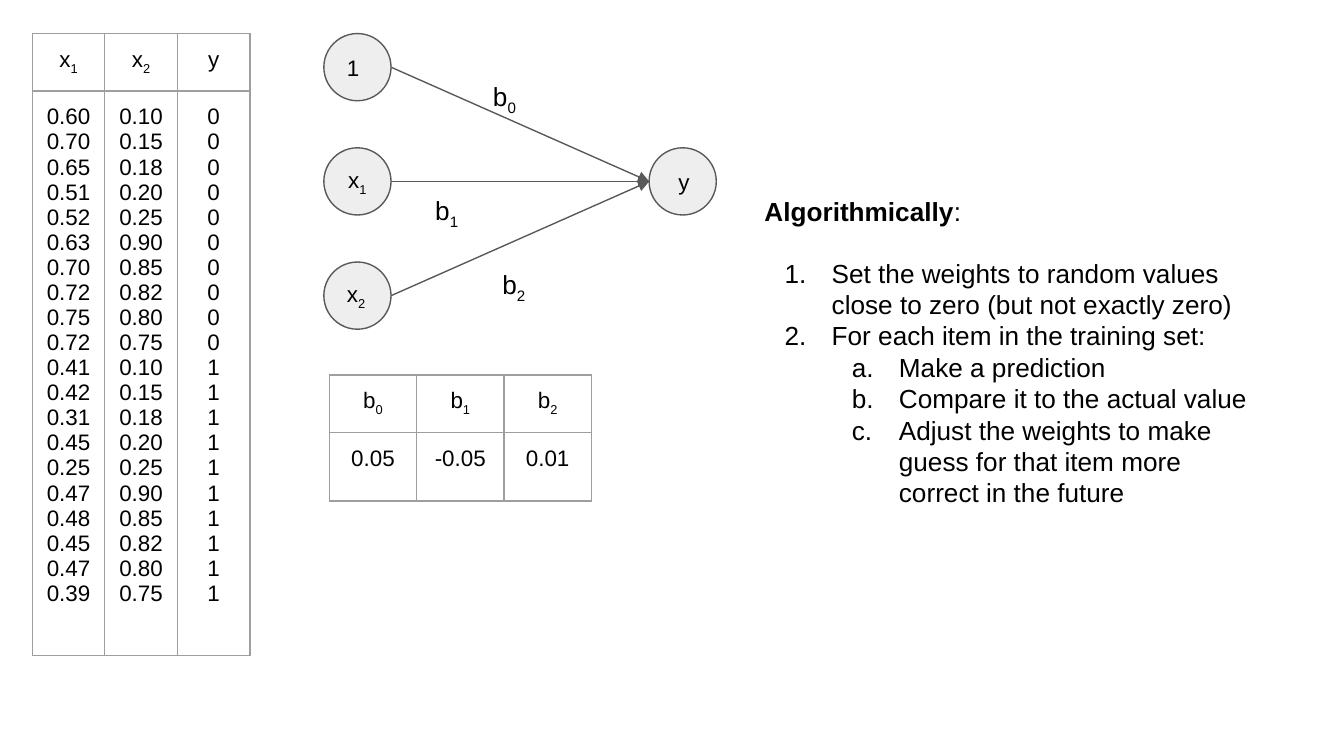
from pptx import Presentation
from pptx.dml.color import RGBColor
from pptx.enum.shapes import MSO_CONNECTOR, MSO_SHAPE
from pptx.enum.text import MSO_ANCHOR, PP_ALIGN
from pptx.oxml import parse_xml
from pptx.oxml.ns import nsdecls
from pptx.util import Inches, Pt

COLORS = {"text": "000000", "node": "EEEEEE", "line": "595959", "border": "9E9E9E"}
NS = nsdecls("a")


def write_text(paragraph, text, size):
    """Write text into the paragraph; what follows an underscore is a subscript."""
    paragraph.text = ""
    for index, part in enumerate(text.split("_")):
        run = paragraph.add_run()
        run.text = part
        run.font.name = "Arial"
        run.font.size = Pt(size)
        run.font.color.rgb = RGBColor.from_string(COLORS["text"])
        if index:
            run._r.get_or_add_rPr().set("baseline", "-25000")


def set_frame(text_frame):
    """Wrap the text and give it equal margins."""
    text_frame.word_wrap = True
    text_frame.margin_left = text_frame.margin_right = Inches(0.1)
    text_frame.margin_top = text_frame.margin_bottom = Inches(0.1)


presentation = Presentation()
presentation.slide_width = Inches(10)
presentation.slide_height = Inches(10 * 9 / 16)
slide = presentation.slides.add_slide(presentation.slide_layouts[6])
shapes = slide.shapes

# Network nodes
NODE_SIZE = 0.5
INPUT_X, OUTPUT_X = 2.41, 4.83
INPUT_TOPS = [0.25, 1.1, 1.95]
OUTPUT_TOP = INPUT_TOPS[1]
nodes = [
    ("x_1", INPUT_X, INPUT_TOPS[1], PP_ALIGN.CENTER),
    ("x_2", INPUT_X, INPUT_TOPS[2], PP_ALIGN.LEFT),
    ("1", INPUT_X, INPUT_TOPS[0], PP_ALIGN.LEFT),
    (" y", OUTPUT_X, OUTPUT_TOP, PP_ALIGN.LEFT),
]
for label, left, top, alignment in nodes:
    node = shapes.add_shape(MSO_SHAPE.OVAL, Inches(left), Inches(top),
                            Inches(NODE_SIZE), Inches(NODE_SIZE))
    node.shadow.inherit = False
    node.fill.solid()
    node.fill.fore_color.rgb = RGBColor.from_string(COLORS["node"])
    node.line.color.rgb = RGBColor.from_string(COLORS["line"])
    node.line.width = Pt(0.75)
    set_frame(node.text_frame)
    node.text_frame.vertical_anchor = MSO_ANCHOR.MIDDLE
    paragraph = node.text_frame.paragraphs[0]
    paragraph.alignment = alignment
    write_text(paragraph, label, 12)

# Arrows from each input to the output
for top in INPUT_TOPS:
    arrow = shapes.add_connector(
        MSO_CONNECTOR.STRAIGHT,
        Inches(INPUT_X + NODE_SIZE), Inches(top + NODE_SIZE / 2),
        Inches(OUTPUT_X), Inches(OUTPUT_TOP + NODE_SIZE / 2))
    arrow.line.color.rgb = RGBColor.from_string(COLORS["line"])
    arrow.line.width = Pt(0.75)
    arrow.line._get_or_add_ln().append(parse_xml(f'<a:tailEnd {NS} type="triangle"/>'))
    arrow._element.spPr.append(parse_xml(f"<a:effectLst {NS}/>"))

# Weight labels
for label, left, top in [("b_0", 3.57, 0.5), ("b_1", 3.14, 1.35), ("b_2", 3.64, 1.9)]:
    weight = shapes.add_textbox(Inches(left), Inches(top), Inches(0.6), Inches(0.3))
    set_frame(weight.text_frame)
    write_text(weight.text_frame.paragraphs[0], label, 14)

# Algorithm steps
algorithm = shapes.add_textbox(Inches(5.59), Inches(1.35), Inches(3.94), Inches(2.58))
set_frame(algorithm.text_frame)
heading = algorithm.text_frame.paragraphs[0]
write_text(heading, "Algorithmically", 14)
heading.runs[0].font.bold = True
colon = heading.add_run()
colon.text = ":"
colon.font.name = "Arial"
colon.font.size = Pt(14)
colon.font.color.rgb = RGBColor.from_string(COLORS["text"])
heading.space_after = Pt(16.5)

steps = [
    (0, "Set the weights to random values close to zero (but not exactly zero)"),
    (0, "For each item in the training set:"),
    (1, "Make a prediction"),
    (1, "Compare it to the actual value"),
    (1, "Adjust the weights to make guess for that item more correct in the future"),
]
for level, text in steps:
    paragraph = algorithm.text_frame.add_paragraph()
    paragraph.level = level
    write_text(paragraph, text, 14)
    properties = paragraph._p.get_or_add_pPr()
    properties.set("marL", str(Inches(0.5 * (level + 1))))
    properties.set("indent", str(Inches(-0.35)))
    numbering = ["arabicPeriod", "alphaLcPeriod"][level]
    properties.append(parse_xml(
        f'<a:buClr {NS}><a:srgbClr val="{COLORS["text"]}"/></a:buClr>'))
    properties.append(parse_xml(f'<a:buAutoNum {NS} type="{numbering}"/>'))

# Training data and weights tables
FRAME_SIZE = Inches(3.28)
x1_values = ["0.60", "0.70", "0.65", "0.51", "0.52", "0.63", "0.70", "0.72", "0.75", "0.72",
             "0.41", "0.42", "0.31", "0.45", "0.25", "0.47", "0.48", "0.45", "0.47", "0.39"]
x2_values = ["0.10", "0.15", "0.18", "0.20", "0.25",
             "0.90", "0.85", "0.82", "0.80", "0.75"] * 2
y_values = ["0"] * 10 + ["1"] * 10
tables = [
    (0.24, 0.25, 0.54, [0.37, 1.22],
     {"x_1": x1_values, "x_2": x2_values, "y": y_values}),
    (2.45, 2.79, 0.65, [0.34, 0.51],
     {"b_0": ["0.05"], "b_1": ["-0.05"], "b_2": ["0.01"]}),
]
for left, top, column_width, row_heights, columns in tables:
    frame = shapes.add_table(2, len(columns), Inches(left), Inches(top),
                             FRAME_SIZE, FRAME_SIZE)
    table = frame.table
    table.first_row = False
    table.horz_banding = False
    for row, height in zip(table.rows, row_heights):
        row.height = Inches(height)
    for column, (header, values) in enumerate(columns.items()):
        table.columns[column].width = Inches(column_width)
        for row, lines in enumerate([[header], values]):
            cell = table.cell(row, column)
            cell.margin_left = cell.margin_right = Inches(0.1)
            cell.margin_top = cell.margin_bottom = Inches(0.1)
            cell.fill.background()
            cell.text_frame.text = "\n".join(lines)
            for paragraph, line in zip(cell.text_frame.paragraphs, lines):
                paragraph.alignment = PP_ALIGN.CENTER
                write_text(paragraph, line, 12)
            cell_properties = cell._tc.get_or_add_tcPr()
            for position, side in enumerate(["lnL", "lnR", "lnT", "lnB"]):
                cell_properties.insert(position, parse_xml(
                    f'<a:{side} {NS} w="{Pt(0.75)}"><a:solidFill>'
                    f'<a:srgbClr val="{COLORS["border"]}"/></a:solidFill></a:{side}>'))
    # Resizing rows and columns shrinks the frame, so its size is set last
    frame.width = frame.height = FRAME_SIZE

presentation.save("out.pptx")
